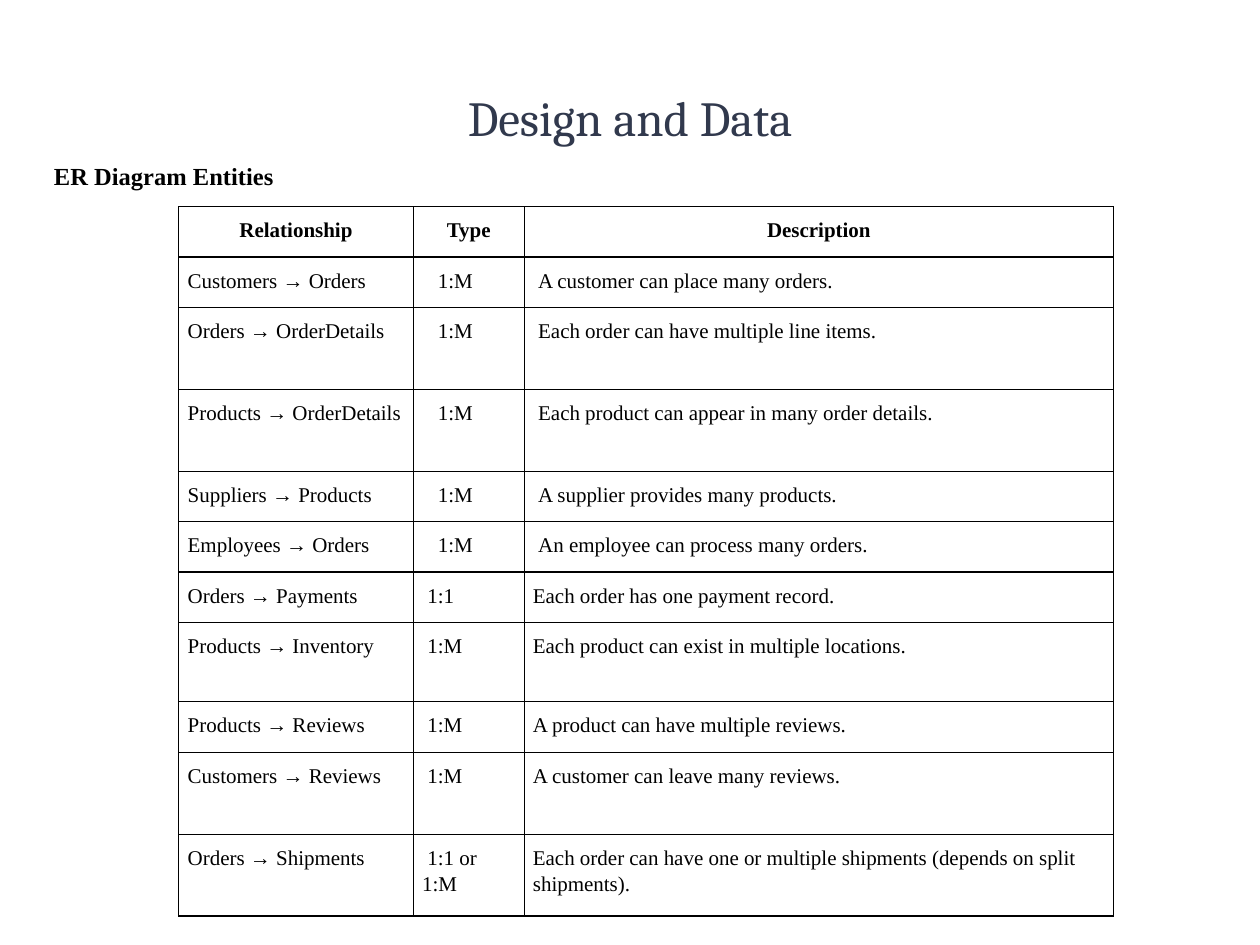
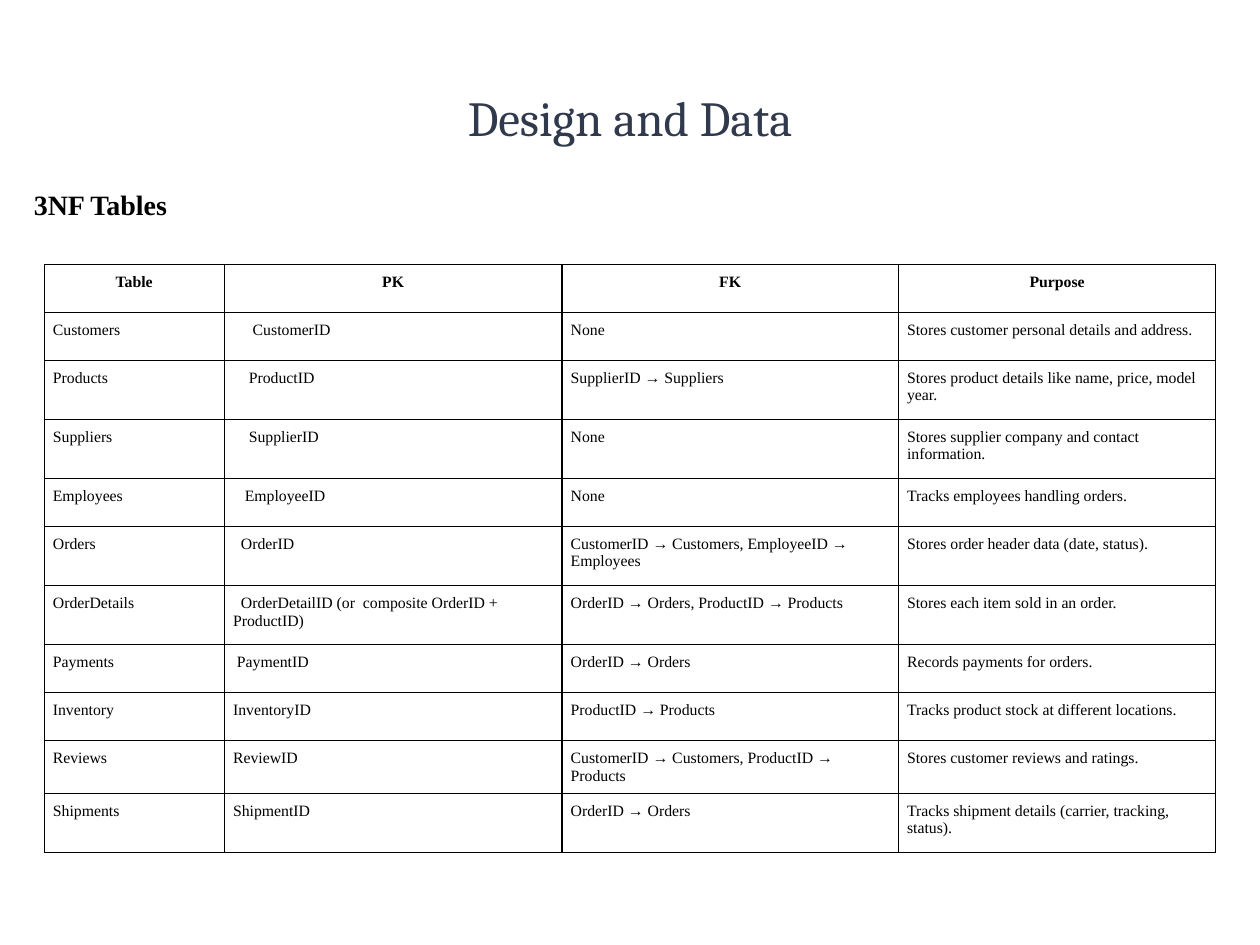
from lxml import etree
from pptx import Presentation
from pptx.dml.color import RGBColor
from pptx.enum.text import MSO_ANCHOR, PP_ALIGN
from pptx.oxml.ns import qn
from pptx.util import Inches, Pt

LEFT, CENTER = PP_ALIGN.LEFT, PP_ALIGN.CENTER
MIDDLE = MSO_ANCHOR.MIDDLE

BLACK = RGBColor(0x00, 0x00, 0x00)
TITLE_COLOR = RGBColor(0x31, 0x39, 0x4D)
TITLE_FONT = "Cambria"
BODY_FONT = "Times New Roman"
CELL_MARGIN = Inches(0.07)
BORDER_WIDTH = Pt(0.75)
TITLE_ONLY = 5

RELATIONSHIPS = [
    ("Relationship", "Type", "Description"),
    ("Customers → Orders", "1:M", "A customer can place many orders."),
    ("Orders → OrderDetails", "1:M", "Each order can have multiple line items."),
    ("Products → OrderDetails", "1:M", "Each product can appear in many order details."),
    ("Suppliers → Products", "1:M", "A supplier provides many products."),
    ("Employees → Orders", "1:M", "An employee can process many orders."),
    ("Orders → Payments", "1:1", "Each order has one payment record."),
    ("Products → Inventory", "1:M", "Each product can exist in multiple locations."),
    ("Products → Reviews", "1:M", "A product can have multiple reviews."),
    ("Customers → Reviews", "1:M", "A customer can leave many reviews."),
    ("Orders → Shipments", "1:1 or\v1:M",
     "Each order can have one or multiple shipments (depends on split shipments)."),
]
RELATIONSHIP_COLS = [1.86, 0.88, 4.68]
RELATIONSHIP_ROWS = [0.4, 0.4, 0.65, 0.65, 0.4, 0.4, 0.4, 0.63, 0.4, 0.65, 0.65]
# First-line indents in points, by column, for the rows under the header
RELATIONSHIP_INDENTS = {1: [9] * 5 + [3] * 5, 2: [3] * 5 + [0] * 5}

TABLES_3NF = [
    ("Table", "PK", "FK", "Purpose"),
    ("Customers", "CustomerID", "None", "Stores customer personal details and address."),
    ("Products", "ProductID", "SupplierID → Suppliers",
     "Stores product details like name, price, model year."),
    ("Suppliers", "SupplierID", "None", "Stores supplier company and contact information."),
    ("Employees", "EmployeeID", "None", "Tracks employees handling orders."),
    ("Orders", "OrderID", "CustomerID → Customers, EmployeeID → Employees",
     "Stores order header data (date, status)."),
    ("OrderDetails", "OrderDetailID (or  composite OrderID + ProductID)",
     "OrderID → Orders, ProductID → Products", "Stores each item sold in an order."),
    ("Payments", "PaymentID", "OrderID → Orders", "Records payments for orders."),
    ("Inventory", "InventoryID", "ProductID → Products",
     "Tracks product stock at different locations."),
    ("Reviews", "ReviewID", "CustomerID → Customers, ProductID → Products",
     "Stores customer reviews and ratings."),
    ("Shipments", "ShipmentID", "OrderID → Orders",
     "Tracks shipment details (carrier, tracking, status)."),
]
TABLE_3NF_COLS = [1.43, 2.68, 2.67, 2.52]
TABLE_3NF_ROWS = [0.38, 0.38, 0.47, 0.47, 0.38, 0.47, 0.47, 0.38, 0.38, 0.38, 0.47]
TABLE_3NF_INDENTS = {1: [11.25, 9, 9, 6.75, 4.5, 4.5, 2.25, 0, 0, 0]}


def write(tf, text, size, font=BODY_FONT, color=BLACK, bold=False,
          align=LEFT, spacing=1.0, indent=0):
    p = tf.paragraphs[0]
    p.text = text
    p.alignment = align
    p.line_spacing = spacing
    p.space_before = Pt(0)
    if indent:
        pPr = p._p.get_or_add_pPr()
        pPr.set("marL", "0")
        pPr.set("indent", str(Pt(indent)))
    for r in p.runs:
        r.font.size = Pt(size)
        r.font.name = font
        r.font.bold = bold
        r.font.color.rgb = color


def set_borders(cell):
    """Draw a thin black line on all four sides of the cell."""
    tcPr = cell._tc.get_or_add_tcPr()
    for i, side in enumerate(("lnL", "lnR", "lnT", "lnB")):
        ln = etree.Element(qn(f"a:{side}"), w=str(BORDER_WIDTH))
        fill = etree.SubElement(ln, qn("a:solidFill"))
        etree.SubElement(fill, qn("a:srgbClr"), val=str(BLACK))
        tcPr.insert(i, ln)


def add_title(slide, text):
    sp = slide.shapes.title
    sp.left, sp.top = Inches(0.5), Inches(0.3)
    sp.width, sp.height = Inches(9), Inches(1.25)
    sp.text_frame.vertical_anchor = MIDDLE
    write(sp.text_frame, text, 28, font=TITLE_FONT, color=TITLE_COLOR, align=CENTER)


def add_heading(slide, box, text, size):
    tf = slide.shapes.add_textbox(*map(Inches, box)).text_frame
    tf.word_wrap = True
    tf.vertical_anchor = MIDDLE
    tf.margin_top = tf.margin_bottom = Inches(0.1)
    write(tf, text, size, bold=True, spacing=1.15)


def add_grid(slide, left, top, rows, col_widths, row_heights, indents, size, spacing):
    """Add a plain bordered table whose first row is a centred bold header."""
    table = slide.shapes.add_table(
        len(rows), len(col_widths), Inches(left), Inches(top),
        Inches(sum(col_widths)), Inches(sum(row_heights))).table
    table.first_row = table.horz_banding = False
    for column, width in zip(table.columns, col_widths):
        column.width = Inches(width)
    for r, (row, height) in enumerate(zip(rows, row_heights)):
        table.rows[r].height = Inches(height)
        for c, text in enumerate(row):
            cell = table.cell(r, c)
            cell.margin_left = cell.margin_right = CELL_MARGIN
            cell.margin_top = cell.margin_bottom = CELL_MARGIN
            cell.fill.background()
            set_borders(cell)
            header = r == 0
            indent = indents[c][r - 1] if c in indents and not header else 0
            write(cell.text_frame, text, size, bold=header, spacing=spacing,
                  align=CENTER if header else LEFT, indent=indent)


def add_design_slide(prs):
    slide = prs.slides.add_slide(prs.slide_layouts[TITLE_ONLY])
    add_title(slide, "Design and Data")
    return slide


def add_relationships_slide(prs):
    slide = add_design_slide(prs)
    add_grid(slide, 1.42, 1.64, RELATIONSHIPS, RELATIONSHIP_COLS, RELATIONSHIP_ROWS,
             RELATIONSHIP_INDENTS, size=12, spacing=1.15)
    add_heading(slide, (0.33, 0.75, 2.69, 1.25), "ER Diagram Entities", 14)


def add_3nf_slide(prs):
    slide = add_design_slide(prs)
    add_grid(slide, 0.35, 2.1, TABLES_3NF, TABLE_3NF_COLS, TABLE_3NF_ROWS,
             TABLE_3NF_INDENTS, size=9, spacing=1.0)
    add_heading(slide, (0.17, 0.85, 2.71, 1.5), "3NF Tables", 16)


def main():
    prs = Presentation()
    prs.slide_width, prs.slide_height = Inches(10), Inches(7.5)
    add_relationships_slide(prs)
    add_3nf_slide(prs)
    prs.save("out.pptx")


if __name__ == "__main__":
    main()
